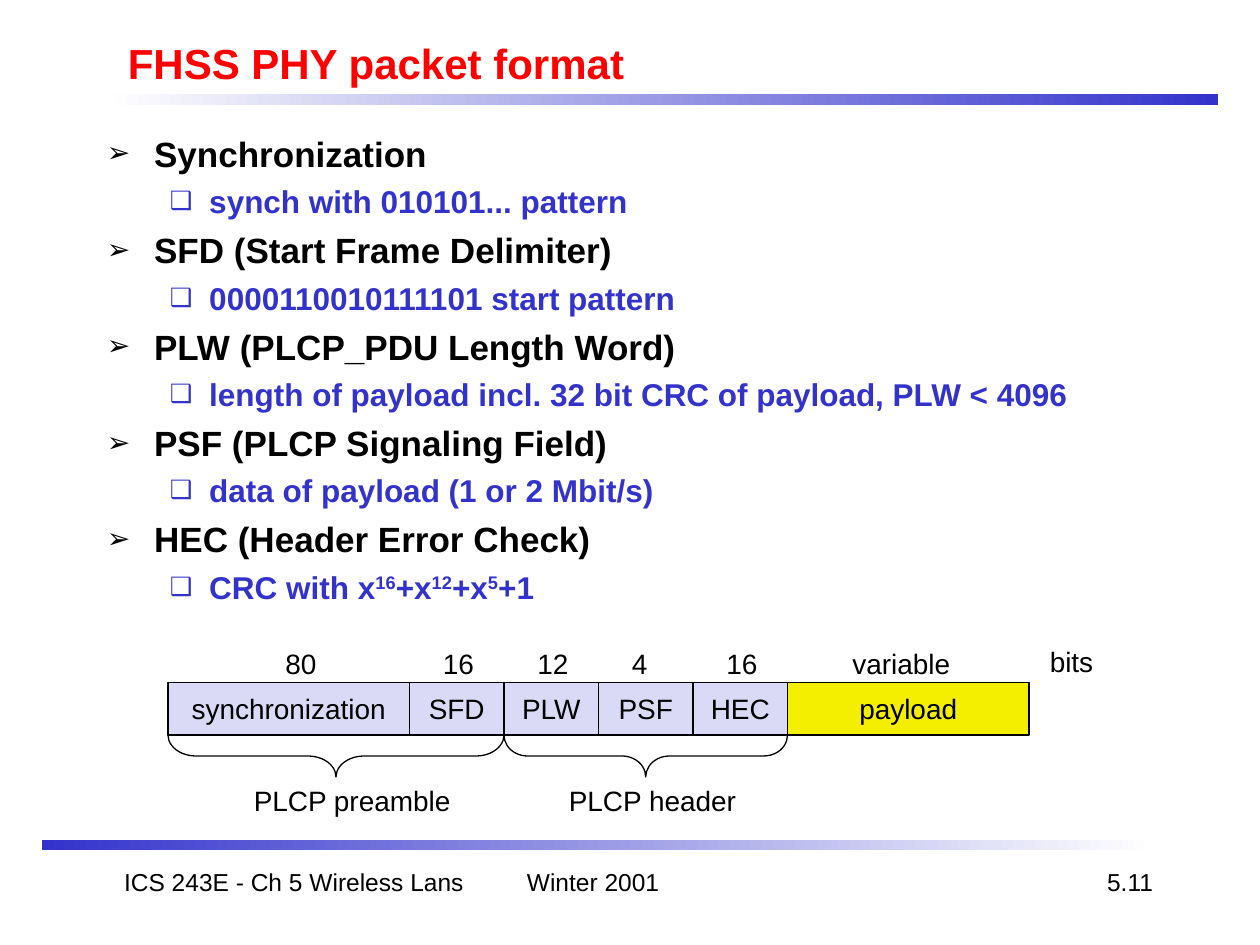
from dataclasses import dataclass
from itertools import accumulate

from lxml import etree
from pptx import Presentation
from pptx.dml.color import RGBColor
from pptx.enum.shapes import MSO_SHAPE
from pptx.enum.text import MSO_ANCHOR, MSO_AUTO_SIZE, PP_ALIGN
from pptx.oxml.ns import qn
from pptx.util import Inches, Pt

RECTANGLE, BRACE = MSO_SHAPE.RECTANGLE, MSO_SHAPE.LEFT_BRACE
LEFT, CENTER, RIGHT = PP_ALIGN.LEFT, PP_ALIGN.CENTER, PP_ALIGN.RIGHT
TOP, MIDDLE = MSO_ANCHOR.TOP, MSO_ANCHOR.MIDDLE
GROW, FIXED = MSO_AUTO_SIZE.SHAPE_TO_FIT_TEXT, MSO_AUTO_SIZE.NONE
UNITS_PER_INCH = 12


@dataclass(frozen=True)
class Level:
    size: int
    color: str
    bullet: str
    margin: float
    hanging: float
    space_before: float


@dataclass(frozen=True)
class Theme:
    font: str = "Arial"
    ink: str = "000000"
    paper: str = "FFFFFF"
    accent: str = "3333CC"
    title: str = "FF0000"
    field: str = "DADAF6"
    payload: str = "F4EE00"
    title_size: int = 24
    label_size: int = 16
    footer_size: int = 14
    line_width: float = 0.75
    bullet_percent: int = 80
    levels: tuple = (
        Level(20, "000000", "➢", 4.5, 4.5, 5),
        Level(18, "3333CC", "❑", 9.75, 3.75, 4.5),
    )


def grid(units):
    return Inches(units / UNITS_PER_INCH)


class SlideBuilder:
    def __init__(self, slide, theme):
        self.slide = slide
        self.theme = theme

    def style(self, paragraph, size, color=None, bold=False):
        font = paragraph.font
        font.name = self.theme.font
        font.size = Pt(size)
        font.bold = bold
        font.color.rgb = RGBColor.from_string(color or self.theme.ink)

    def shape(self, kind, column, row, width, height):
        shape = self.slide.shapes.add_shape(kind, *map(grid, (column, row, width, height)))
        shape.shadow.inherit = False
        return shape

    def outline(self, shape):
        shape.line.color.rgb = RGBColor.from_string(self.theme.ink)
        shape.line.width = Pt(self.theme.line_width)

    def gradient_bar(self, column, row, start, end):
        bar = self.shape(RECTANGLE, column, row, 106, 1)
        bar.line.fill.background()
        bar.fill.gradient()
        bar.fill.gradient_angle = 0
        for stop, color in zip(bar.fill.gradient_stops, (start, end)):
            stop.color.rgb = RGBColor.from_string(color)

    def frame(self, column, row, width, height, wrap=True, anchor=TOP):
        box = self.slide.shapes.add_textbox(*map(grid, (column, row, width, height)))
        box.text_frame.word_wrap = wrap
        box.text_frame.auto_size = FIXED if wrap else GROW
        box.text_frame.vertical_anchor = anchor
        return box.text_frame

    def text(self, text, column, row, width, height, size, align=LEFT, wrap=True,
             anchor=TOP, color=None, bold=False):
        paragraph = self.frame(column, row, width, height, wrap, anchor).paragraphs[0]
        paragraph.text = text
        paragraph.alignment = align
        self.style(paragraph, size, color, bold)

    def label(self, text, column, row, width):
        self.text(text, column, row, width, 4.4, self.theme.label_size, wrap=False)

    def field(self, text, column, row, width, color):
        box = self.shape(RECTANGLE, column, row, width, 5)
        box.fill.solid()
        box.fill.fore_color.rgb = RGBColor.from_string(color)
        self.outline(box)
        box.text_frame.word_wrap = False
        box.text_frame.vertical_anchor = MIDDLE
        paragraph = box.text_frame.paragraphs[0]
        paragraph.text = text
        paragraph.alignment = CENTER
        self.style(paragraph, self.theme.label_size)

    def brace_below(self, column, row, span, depth=4):
        center_column, center_row = column + span / 2, row + depth / 2
        brace = self.shape(BRACE, center_column - depth / 2, center_row - span / 2, depth, span)
        brace.rotation = 270
        brace.adjustments[0] = span / 12 / depth
        brace.fill.background()
        self.outline(brace)

    def bullet(self, paragraph, level):
        properties = paragraph._p.get_or_add_pPr()
        properties.set("marL", str(grid(level.margin)))
        properties.set("indent", str(-grid(level.hanging)))
        color = etree.SubElement(properties, qn("a:buClr"))
        etree.SubElement(color, qn("a:srgbClr"), val=level.color)
        etree.SubElement(properties, qn("a:buSzPct"), val=str(self.theme.bullet_percent * 1000))
        etree.SubElement(properties, qn("a:buFont"), typeface=self.theme.font)
        etree.SubElement(properties, qn("a:buChar"), char=level.bullet)

    def outline_list(self, items, column, row, width, height):
        text_frame = self.frame(column, row, width, height)
        lines = [(depth, text) for item in items for depth, text in enumerate(item)]
        for index, (depth, text) in enumerate(lines):
            level = self.theme.levels[depth]
            paragraph = text_frame.add_paragraph() if index else text_frame.paragraphs[0]
            paragraph.level = depth
            self.bullet(paragraph, level)
            self.style(paragraph, level.size, level.color, bold=True)
            if index:
                paragraph.space_before = Pt(level.space_before)
            for position, part in enumerate(text.split("^")):
                run = paragraph.add_run()
                run.text = part
                if position % 2:
                    run._r.get_or_add_rPr().set("baseline", "30000")


def main():
    theme = Theme()
    presentation = Presentation()
    presentation.slide_width, presentation.slide_height = Inches(10), Inches(7.5)
    slide = presentation.slides.add_slide(presentation.slide_layouts[6])
    builder = SlideBuilder(slide, theme)

    builder.gradient_bar(10, 9, theme.paper, theme.accent)
    builder.gradient_bar(4, 80, theme.accent, theme.paper)
    for text, column, width, align in (
        ("ICS 243E - Ch 5 Wireless Lans", 9, 38, CENTER),
        ("Winter 2001", 49, 25, LEFT),
        ("5.11", 86, 25, RIGHT),
    ):
        builder.text(text, column, 82, width, 6, theme.footer_size, align)
    builder.text("FHSS PHY packet format", 11, 3, 102, 6, theme.title_size,
                 anchor=MIDDLE, color=theme.title, bold=True)

    builder.outline_list((
        ("Synchronization", "synch with 010101... pattern"),
        ("SFD (Start Frame Delimiter)", "0000110010111101 start pattern"),
        ("PLW (PLCP_PDU Length Word)",
         "length of payload incl. 32 bit CRC of payload, PLW < 4096"),
        ("PSF (PLCP Signaling Field)", "data of payload (1 or 2 Mbit/s)"),
        ("HEC (Header Error Check)", "CRC with x^16^+x^12^+x^5^+1"),
    ), 9, 12, 102, 68)

    fields = (
        ("synchronization", 23, theme.field, "80", 10, 5.4),
        ("SFD", 9, theme.field, "16", 2, 5.4),
        ("PLW", 9, theme.field, "12", 2, 5.4),
        ("PSF", 9, theme.field, "4", 2, 3.9),
        ("HEC", 9, theme.field, "16", 2, 5.4),
        ("payload", 23, theme.payload, "variable", 5, 11.75),
    )
    edges = list(accumulate((field[1] for field in fields), initial=16))
    for column, (name, width, color, bits, offset, bits_width) in zip(edges, fields):
        builder.field(name, column, 65, width, color)
        builder.label(bits, column + offset, 61, bits_width)
    builder.label("bits", 98.8, 60.8, 6.5)

    for name, first, last, offset, width in (
        ("PLCP preamble", 0, 2, 7, 21.1),
        ("PLCP header", 2, 5, 5, 18.4),
    ):
        builder.brace_below(edges[first], 70, edges[last] - edges[first])
        builder.label(name, edges[first] + offset, 74, width)

    presentation.save("out.pptx")


if __name__ == "__main__":
    main()
